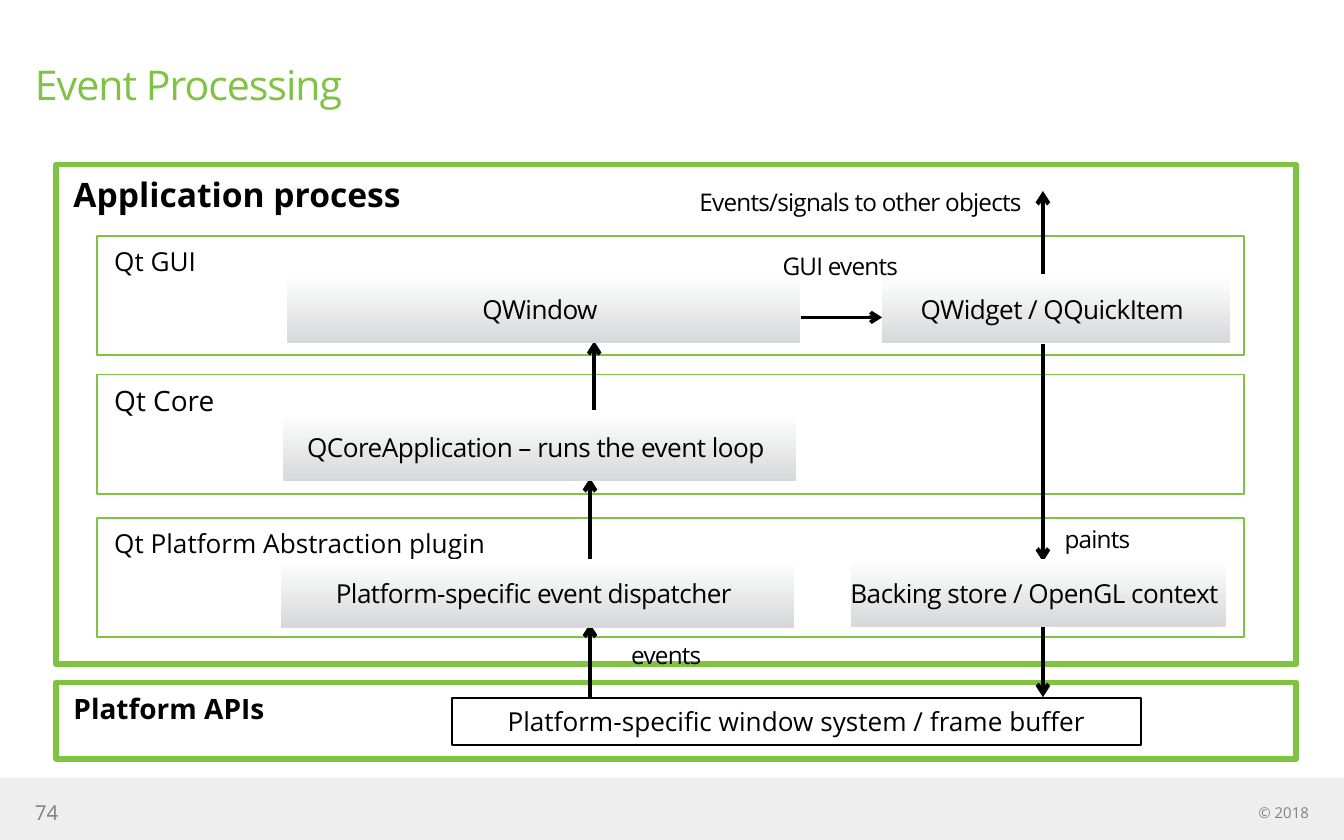
from lxml.etree import SubElement
from pptx import Presentation
from pptx.dml.color import RGBColor
from pptx.enum.shapes import MSO_CONNECTOR, MSO_SHAPE
from pptx.enum.text import MSO_ANCHOR, MSO_AUTO_SIZE, PP_ALIGN
from pptx.oxml.ns import qn
from pptx.util import Cm, Pt

FONT = "Open Sans"
GREEN = RGBColor(0x80, 0xC3, 0x42)
BLACK = RGBColor(0, 0, 0)
WHITE = RGBColor(0xFF, 0xFF, 0xFF)
SILVER = RGBColor(0xD7, 0xD8, 0xD9)
BAND = RGBColor(0xEE, 0xEE, 0xEE)
GRAY = RGBColor(0x7F, 0x7F, 0x7F)
FOOTER_GRAY = RGBColor(0x80, 0x80, 0x80)

TITLE = "Event Processing"
PAGE_NUMBER = "74"
COPYRIGHT = "© 2018"

PROCESS_LEFT, PROCESS_WIDTH = 1.06, 23.44
PROCESSES = [
    ("Application process", 3.11, 9.45, 18),
    ("Platform APIs", 12.9, 1.45, 15),
]
MODULE_LEFT, MODULE_WIDTH, MODULE_HEIGHT = 1.83, 21.69, 2.26
MODULES = [
    ("Qt GUI", 4.46, 14),
    ("Qt Core", 7.08, 15),
    ("Qt Platform Abstraction plugin", 9.79, 14),
]
WINDOW_SYSTEM = ("Platform-specific window system / frame buffer", 8.54, 13.19, 13.03, 0.89)

COMPONENT_HEIGHT = 1.3
COMPONENTS = [
    ("QWindow", 5.43, 5.19, 9.7),
    ("QWidget / QQuickItem", 16.67, 5.19, 6.58),
    ("QCoreApplication – runs the event loop", 5.35, 7.8, 9.7),
    ("Platform-specific event dispatcher", 5.31, 10.57, 9.7),
    ("Backing store / OpenGL context", 16.08, 10.56, 7.09),
]
EVENT_X, PAINT_X, GUI_Y = 11.15, 19.71, 6
ARROWS = [
    (EVENT_X, 13.18, EVENT_X, 11.79, 2.25),
    (EVENT_X, 10.85, EVENT_X, 9.04, 2.25),
    (11.23, 7.75, 11.23, 6.45, 2.25),
    (15.13, GUI_Y, 16.67, GUI_Y, 2),
    (PAINT_X, 5.56, PAINT_X, 3.61, 2.25),
    (PAINT_X, 6.5, PAINT_X, 10.62, 2.25),
    (PAINT_X, 11.84, PAINT_X, 13.18, 2.25),
]
EVENT_LABELS = [
    ("events", 11.93, 11.54, 3.94, 1.14, 31.5),
    ("GUI events", 14.79, 4.19, 3, 1.14, 31.5),
    ("paints", 20.12, 9.35, 3.94, 1.14, 31.5),
    ("Events/signals to other objects", 13.22, 3.54, 6.71, 0.56, None),
]


def write(shape, text, size, color=BLACK, bold=False, align=PP_ALIGN.LEFT,
          anchor=MSO_ANCHOR.TOP, insets=(0, 0, 0, 0), tracking=0, line_spacing=None,
          wrap=True):
    frame = shape.text_frame
    frame.word_wrap = wrap
    frame.auto_size = MSO_AUTO_SIZE.NONE
    frame.vertical_anchor = anchor
    frame.margin_left, frame.margin_top, frame.margin_right, frame.margin_bottom = map(Cm, insets)
    frame.text = text
    paragraph = frame.paragraphs[0]
    paragraph.alignment = align
    if line_spacing:
        paragraph.line_spacing = Pt(line_spacing)
    run = paragraph.runs[0]
    run.font.name = FONT
    run.font.size = Pt(size)
    run.font.bold = bold
    run.font.color.rgb = color
    if tracking:
        run._r.get_or_add_rPr().set("spc", str(round(tracking * 100)))


def add_box(slide, bounds, fill=None, line=None, line_width=1):
    box = slide.shapes.add_shape(MSO_SHAPE.RECTANGLE, *map(Cm, bounds))
    box.shadow.inherit = False
    if fill is None:
        box.fill.background()
    else:
        box.fill.solid()
        box.fill.fore_color.rgb = fill
    if line is None:
        box.line.fill.background()
    else:
        box.line.color.rgb = line
        box.line.width = Pt(line_width)
    return box


def add_label(slide, bounds, text, size, **style):
    label = slide.shapes.add_textbox(*map(Cm, bounds))
    write(label, text, size, **style)


def add_arrow(slide, x1, y1, x2, y2, width):
    arrow = slide.shapes.add_connector(MSO_CONNECTOR.STRAIGHT, *map(Cm, (x1, y1, x2, y2)))
    arrow.line.color.rgb = BLACK
    arrow.line.width = Pt(width)
    SubElement(arrow.line._get_or_add_ln(), qn("a:tailEnd"), type="arrow")
    SubElement(arrow._element.spPr, qn("a:effectLst"))


def add_component(slide, text, left, top, width):
    component = add_box(slide, (left, top, width, COMPONENT_HEIGHT))
    component.fill.gradient()
    component.fill.gradient_angle = 270
    for stop, color, position in zip(component.fill.gradient_stops, (WHITE, SILVER), (0, 1)):
        stop.color.rgb = color
        stop.position = position
    write(component, text, 14, align=PP_ALIGN.CENTER, anchor=MSO_ANCHOR.MIDDLE,
          insets=(0, 0, 0.15, 0), tracking=-0.3, wrap=False)


def main():
    presentation = Presentation()
    presentation.slide_width, presentation.slide_height = Cm(25.4), Cm(15.88)
    slide = presentation.slides.add_slide(presentation.slide_layouts[5])

    add_box(slide, (0, 14.7, 25.4, 1.18), fill=BAND)
    add_label(slide, (0.66, 15.11, 6.27, 0.48), PAGE_NUMBER, 11, color=GRAY,
              anchor=MSO_ANCHOR.MIDDLE)
    add_label(slide, (20.12, 15.19, 4.62, 0.33), COPYRIGHT, 8, color=FOOTER_GRAY,
              align=PP_ALIGN.RIGHT, anchor=MSO_ANCHOR.MIDDLE)

    title = slide.shapes.title
    title.left, title.top, title.width, title.height = map(Cm, (0.66, 1.12, 17.15, 2.16))
    write(title, TITLE, 22, color=GREEN, tracking=-0.5)

    frame_insets = (0.33, 0.18, 0.33, 0.18)
    for text, top, height, size in PROCESSES:
        process = add_box(slide, (PROCESS_LEFT, top, PROCESS_WIDTH, height),
                          line=GREEN, line_width=3)
        write(process, text, size, bold=True, insets=frame_insets)
    for text, top, size in MODULES:
        module = add_box(slide, (MODULE_LEFT, top, MODULE_WIDTH, MODULE_HEIGHT), line=GREEN)
        write(module, text, size, insets=frame_insets)

    text, *bounds = WINDOW_SYSTEM
    window_system = add_box(slide, bounds, fill=WHITE, line=BLACK)
    write(window_system, text, 14, align=PP_ALIGN.CENTER, anchor=MSO_ANCHOR.MIDDLE)

    for arrow in ARROWS:
        add_arrow(slide, *arrow)
    for component in COMPONENTS:
        add_component(slide, *component)
    for text, *bounds, line_spacing in EVENT_LABELS:
        add_label(slide, bounds, text, 13, tracking=-0.4, line_spacing=line_spacing)

    presentation.save("out.pptx")


if __name__ == "__main__":
    main()
